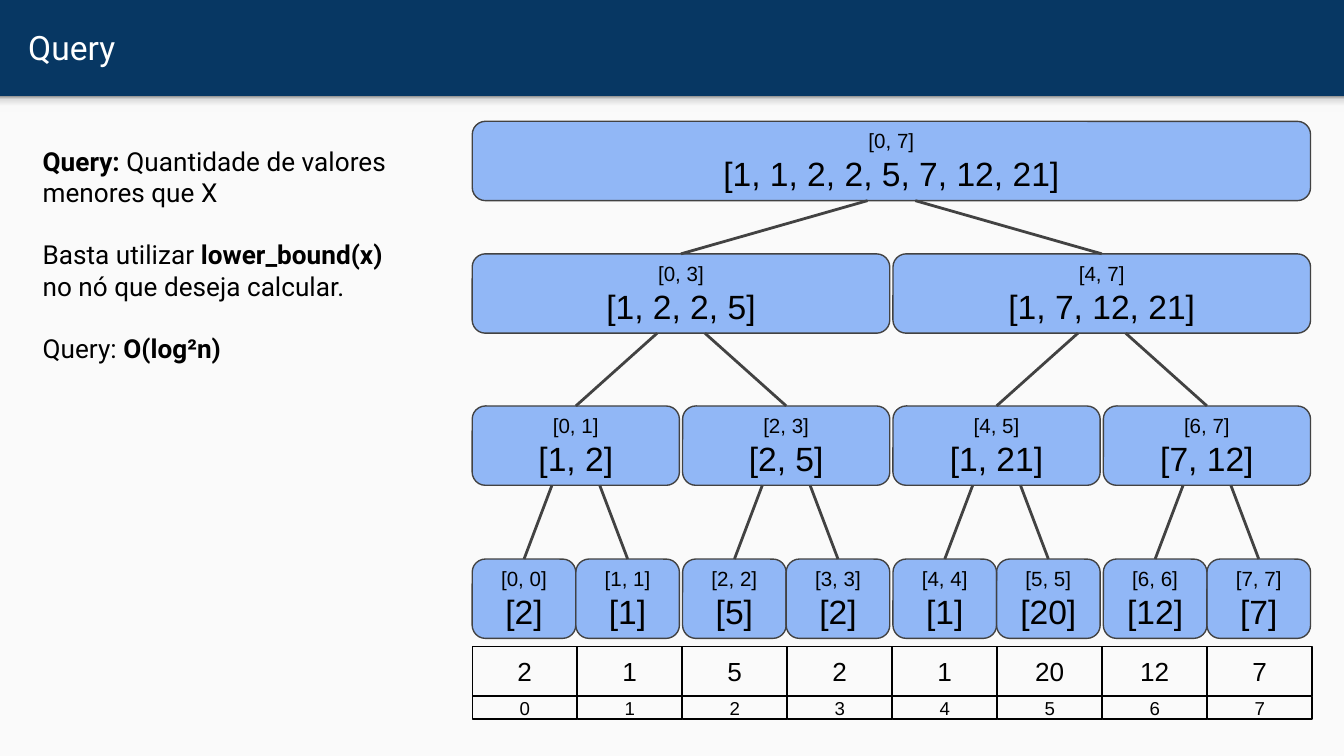
from lxml import etree
from pptx import Presentation
from pptx.dml.color import RGBColor
from pptx.enum.shapes import MSO_CONNECTOR, MSO_SHAPE
from pptx.enum.text import MSO_ANCHOR, MSO_AUTO_SIZE, PP_ALIGN
from pptx.oxml.ns import qn
from pptx.util import Pt

RECT, ROUNDED = MSO_SHAPE.RECTANGLE, MSO_SHAPE.ROUNDED_RECTANGLE
STRAIGHT = MSO_CONNECTOR.STRAIGHT
TOP, MIDDLE = MSO_ANCHOR.TOP, MSO_ANCHOR.MIDDLE
LEFT, CENTER = PP_ALIGN.LEFT, PP_ALIGN.CENTER
FIXED = MSO_AUTO_SIZE.NONE
TOP_SITE = 0

COLORS = {
    "header": "073763", "page": "FAFAFA", "title": "FFFFFF", "text": "000000",
    "node": "4285F4", "edge": "424242",
    "shade_light": "F9F9F9", "shade_mid": "DEDEDE", "shade_dark": "999999",
}

# Tree geometry in points: leaves sit in touching pairs, pairs have a small gap
TREE_LEFT, PAIR_PITCH, PAIR_GAP = 253, 112.7, 1.7
LEAF_WIDTH = (PAIR_PITCH - PAIR_GAP) / 2
NODE_HEIGHT = 42.5
EDGE_OFFSET = 12.8
LEVEL_TOPS = [65, 136, 217.5, 299.5]
CELL_WIDTH = 56.25

ARRAY = ["2", "1", "5", "2", "1", "20", "12", "7"]
LEVEL_VALUES = [
    ["1, 1, 2, 2, 5, 7, 12, 21"],
    ["1, 2, 2, 5", "1, 7, 12, 21"],
    ["1, 2", "2, 5", "1, 21", "7, 12"],
    ARRAY,
]

# Each paragraph is a list of (text, bold)
EXPLANATION = [
    [("Query:", True), (" Quantidade de valores menores que X", False)],
    [("Basta utilizar ", False), ("lower_bound(x) ", True),
     ("no nó que deseja calcular.", False)],
    [("Query: ", False), ("O(log²n)", True)],
]


def color(name):
    return RGBColor.from_string(COLORS[name])


def format_frame(frame, anchor, inset=7.2):
    settings = {
        "word_wrap": True, "auto_size": FIXED, "vertical_anchor": anchor,
        "margin_left": Pt(inset), "margin_right": Pt(inset),
        "margin_top": Pt(inset), "margin_bottom": Pt(inset),
    }
    for name, value in settings.items():
        setattr(frame, name, value)


def add_run(paragraph, text, size, font="Arial", tint="text", bold=False):
    run = paragraph.add_run()
    run.text = text
    for name, value in {"name": font, "size": Pt(size), "bold": bold}.items():
        setattr(run.font, name, value)
    run.font.color.rgb = color(tint)


def add_box(slide, kind, left, top, width, height, fill=None, line=None):
    box = slide.shapes.add_shape(kind, Pt(left), Pt(top), Pt(width), Pt(height))
    box.shadow.inherit = False
    if fill:
        box.fill.solid()
        box.fill.fore_color.rgb = color(fill)
    else:
        box.fill.background()
    if line:
        box.line.color.rgb = color(line)
        box.line.width = Pt(0.75)
    else:
        box.line.fill.background()
    return box


def write_lines(box, lines, inset=7.2):
    """Fill a box with centred (text, size) lines."""
    frame = box.text_frame
    format_frame(frame, MIDDLE, inset)
    for i, (text, size) in enumerate(lines):
        paragraph = frame.add_paragraph() if i else frame.paragraphs[0]
        paragraph.alignment = CENTER
        add_run(paragraph, text, size)


def add_header_shade(slide):
    shade = add_box(slide, RECT, 0, 51.6, 720, 8.6)
    shade.fill.gradient()
    shade.fill.gradient_angle = 90
    stops = shade._element.spPr.find(".//" + qn("a:gsLst"))
    stops.clear()
    for percent, name in [(0, "shade_light"), (36, "shade_light"),
                          (80, "shade_mid"), (100, "shade_dark")]:
        stop = etree.SubElement(stops, qn("a:gs"), pos=str(percent * 1000))
        etree.SubElement(stop, qn("a:srgbClr"), val=COLORS[name])


def add_title(slide, text):
    title = slide.shapes.title
    title.left, title.top, title.width, title.height = Pt(7.9), Pt(1.4), Pt(695), Pt(47.5)
    format_frame(title.text_frame, MIDDLE)
    paragraph = title.text_frame.paragraphs[0]
    paragraph.alignment = LEFT
    add_run(paragraph, text, 18, "Roboto", "title")


def add_explanation(slide):
    notes = slide.shapes.add_textbox(Pt(15.8), Pt(70.6), Pt(208.8), Pt(133.2))
    frame = notes.text_frame
    format_frame(frame, TOP)
    for i, parts in enumerate(EXPLANATION):
        paragraph = frame.add_paragraph() if i else frame.paragraphs[0]
        paragraph.space_before = Pt(16.5 if i else 0)
        for text, bold in parts:
            add_run(paragraph, text, 14, "Roboto", bold=bold)


def add_node(slide, level, first, count, values):
    left = TREE_LEFT + first // 2 * PAIR_PITCH + first % 2 * LEAF_WIDTH
    width = LEAF_WIDTH if count == 1 else count / 2 * PAIR_PITCH - PAIR_GAP
    node = add_box(slide, ROUNDED, left, LEVEL_TOPS[level], width, NODE_HEIGHT,
                   "node", "edge")
    solid = node._element.spPr.find(qn("a:solidFill"))
    etree.SubElement(solid[0], qn("a:alpha"), val="57000")
    write_lines(node, [(f"[{first}, {first + count - 1}]", 11), (f"[{values}]", 18)])
    return node


def add_edge(slide, parent, child, side):
    start_x = parent.left + parent.width // 2 + side * Pt(EDGE_OFFSET)
    edge = slide.shapes.add_connector(
        STRAIGHT, start_x, parent.top + parent.height, child.left, child.top)
    edge.end_connect(child, TOP_SITE)
    edge.line.color.rgb = color("edge")
    edge.line.width = Pt(1.5)
    etree.SubElement(edge._element.spPr, qn("a:effectLst"))


def add_tree(slide):
    parents = []
    for level, level_values in enumerate(LEVEL_VALUES):
        count = len(ARRAY) // len(level_values)
        nodes = [add_node(slide, level, i * count, count, values)
                 for i, values in enumerate(level_values)]
        if parents:
            for i, node in enumerate(nodes):
                add_edge(slide, parents[i // 2], node, 1 if i % 2 else -1)
        parents = nodes


def add_array_row(slide, values, top, height, size):
    for i, value in enumerate(values):
        cell = add_box(slide, RECT, TREE_LEFT + i * CELL_WIDTH, top,
                       CELL_WIDTH, height, line="text")
        write_lines(cell, [(value, size)], inset=0)


def main():
    deck = Presentation()
    deck.slide_width, deck.slide_height = Pt(720), Pt(405)
    slide = deck.slides.add_slide(deck.slide_layouts[5])

    # Header band and page
    slide.background.fill.solid()
    slide.background.fill.fore_color.rgb = color("header")
    add_box(slide, RECT, 0, 51.6, 720, 353.4, "page")
    add_header_shade(slide)
    add_title(slide, "Query")

    # Array with its indices, then the segment tree above it
    add_array_row(slide, ARRAY, 346.3, 26.7, 14)
    add_array_row(slide, [str(i) for i in range(len(ARRAY))], 373, 12.2, 10)
    add_tree(slide)
    add_explanation(slide)
    deck.save("out.pptx")


if __name__ == "__main__":
    main()
